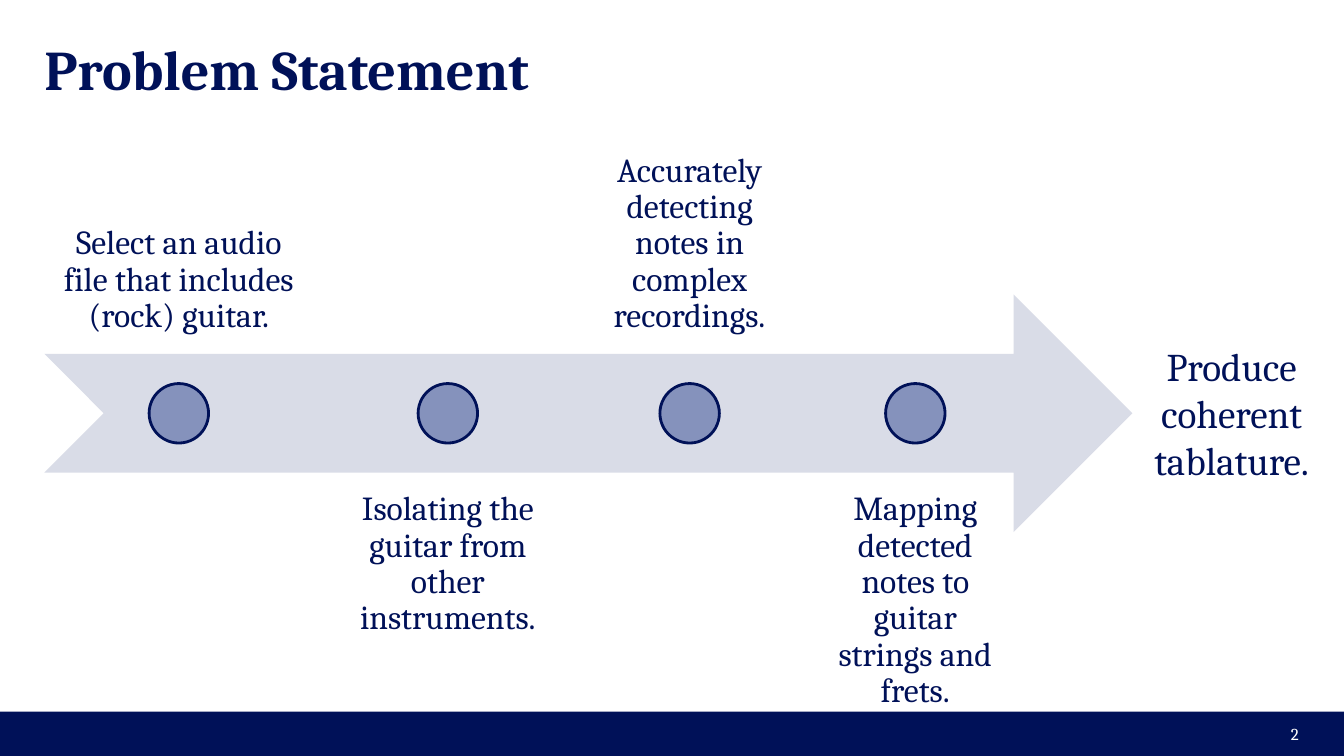
from pptx import Presentation
from pptx import util as u
from pptx.dml.color import RGBColor
from pptx.enum import shapes, text

NAVY, PALE, BLUE, WHITE = "001158", "D9DCE7", "8592BC", "FFFFFF"
FONT = "Cambria"
LEFT = 0.44
STEP_HEIGHT = 2.36
STEP_GAP = 0.11
DOT_SIZE = 0.59
ARROW_TOP = 2.92
STEPS = [
    ("Select an audio file that includes (rock) guitar.", 2.67),
    ("Isolating the guitar from other instruments.", 2.45),
    ("Accurately detecting notes in complex recordings.", 2.13),
    ("Mapping detected notes to guitar strings and frets.", 2.13),
]


def color(value):
    return RGBColor.from_string(value)


def inches(box):
    return [u.Inches(length) for length in box]


def add_shape(slide, kind, box, fill, outline=None):
    shape = slide.shapes.add_shape(kind, *inches(box))
    shape.shadow.inherit = False
    shape.fill.solid()
    shape.fill.fore_color.rgb = color(fill)
    if outline:
        shape.line.color.rgb = color(outline)
        shape.line.width = u.Pt(2)
    else:
        shape.line.fill.background()
    return shape


def add_text(slide, words, box, size, margin=0, fill=NAVY, bold=False,
             anchor=text.MSO_ANCHOR.MIDDLE, **paragraph_format):
    """Add one wrapped paragraph; extra keywords set paragraph attributes."""
    frame = slide.shapes.add_textbox(*inches(box)).text_frame
    frame_format = {"word_wrap": True, "vertical_anchor": anchor}
    for side in ("left", "top", "right", "bottom"):
        frame_format[f"margin_{side}"] = u.Inches(margin)
    for name, value in frame_format.items():
        setattr(frame, name, value)
    paragraph = frame.paragraphs[0]
    for name, value in paragraph_format.items():
        setattr(paragraph, name, value)
    run = paragraph.add_run()
    run.text = words
    for name, value in {"name": FONT, "size": u.Pt(size), "bold": bold}.items():
        setattr(run.font, name, value)
    run.font.color.rgb = color(fill)


def add_step(slide, words, left, width, above):
    """Add a dot on the arrow with its text above or below."""
    top = ARROW_TOP + STEP_HEIGHT * (-0.75 if above else 0.75)
    anchor = text.MSO_ANCHOR.BOTTOM if above else text.MSO_ANCHOR.TOP
    add_text(slide, words, (left, top, width, STEP_HEIGHT), 24, margin=0.19,
             anchor=anchor, alignment=text.PP_ALIGN.CENTER, line_spacing=0.9)
    dot_left = left + (width - DOT_SIZE) / 2
    dot_top = ARROW_TOP + (STEP_HEIGHT - DOT_SIZE) / 2
    add_shape(slide, shapes.MSO_SHAPE.OVAL,
              (dot_left, dot_top, DOT_SIZE, DOT_SIZE), BLUE, NAVY)


def main():
    presentation = Presentation()
    presentation.slide_width = u.Inches(13.34)
    presentation.slide_height = u.Inches(7.5)
    slide = presentation.slides.add_slide(presentation.slide_layouts[6])

    add_shape(slide, shapes.MSO_SHAPE.RECTANGLE, (0, 7.06, 13.34, 0.44), NAVY)
    add_text(slide, "Problem Statement", (LEFT, 0.44, 12.46, 0.47), 40, bold=True)
    add_shape(slide, shapes.MSO_SHAPE.NOTCHED_RIGHT_ARROW,
              (LEFT, ARROW_TOP, 10.8, STEP_HEIGHT), PALE)

    left = LEFT
    for index, (words, width) in enumerate(STEPS):
        add_step(slide, words, left, width, above=index % 2 == 0)
        left += width + STEP_GAP

    add_text(slide, "2", (9.99, 7.08, 3, 0.4), 12, margin=0.1, fill=WHITE,
             alignment=text.PP_ALIGN.RIGHT)
    add_text(slide, "Produce coherent tablature.", (11.24, 2.88, 1.97, 2.44), 28,
             margin=0.12, alignment=text.PP_ALIGN.CENTER)
    presentation.save("out.pptx")


if __name__ == "__main__":
    main()
